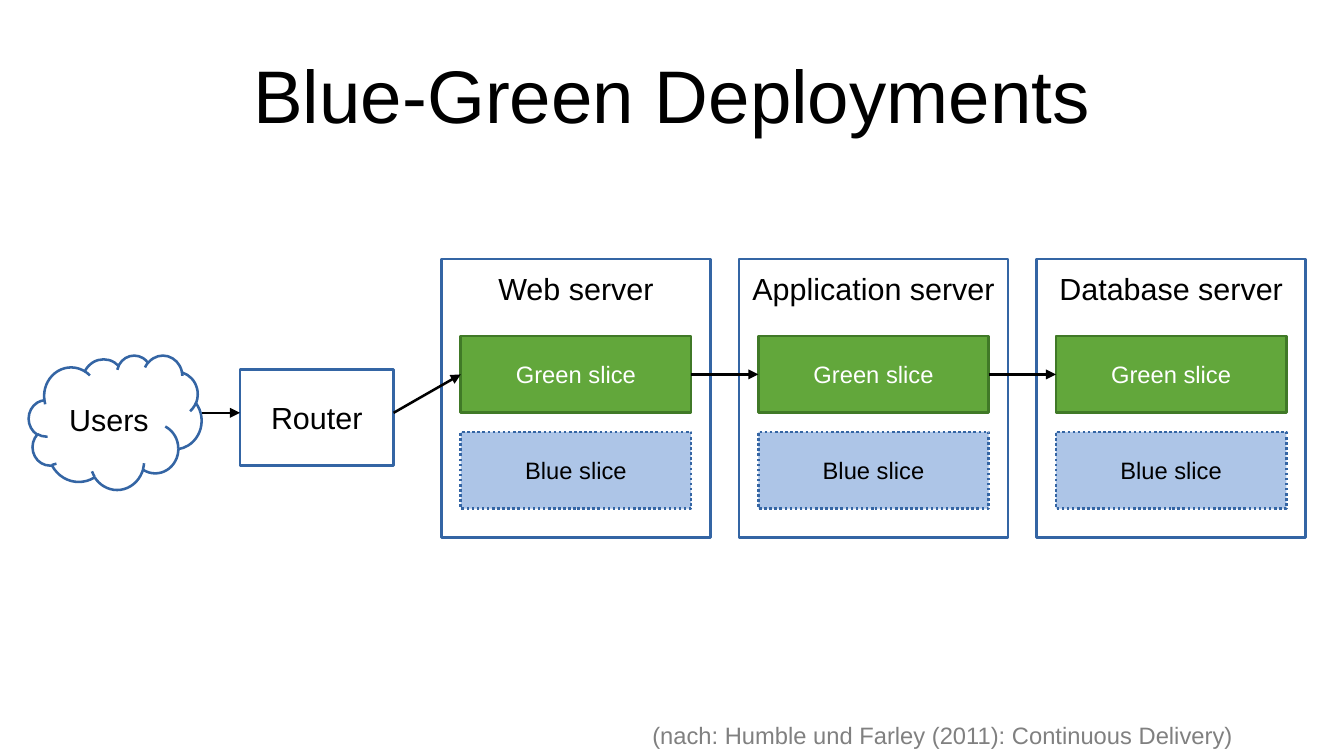
from dataclasses import dataclass
from typing import Optional

from lxml import etree
from pptx import Presentation
from pptx.dml.color import RGBColor
from pptx.enum.dml import MSO_LINE
from pptx.enum.shapes import MSO_CONNECTOR, MSO_SHAPE
from pptx.enum.text import MSO_ANCHOR, PP_ALIGN
from pptx.oxml.ns import qn
from pptx.shapes.autoshape import Shape
from pptx.shapes.connector import Connector
from pptx.slide import Slide
from pptx.text.text import TextFrame
from pptx.util import Cm, Inches, Length, Pt

RECT, CLOUD = MSO_SHAPE.RECTANGLE, MSO_SHAPE.CLOUD
STRAIGHT = MSO_CONNECTOR.STRAIGHT
TOP, MIDDLE = MSO_ANCHOR.TOP, MSO_ANCHOR.MIDDLE
LEFT, CENTER = PP_ALIGN.LEFT, PP_ALIGN.CENTER
DOTTED = MSO_LINE.ROUND_DOT
LEFT_SIDE, RIGHT_SIDE = 1, 3

BLACK = RGBColor(0x00, 0x00, 0x00)
WHITE = RGBColor(0xFF, 0xFF, 0xFF)
GRAY = RGBColor(0x80, 0x80, 0x80)
BLUE = RGBColor(0x34, 0x65, 0xA4)
LIGHT_BLUE = RGBColor(0xAD, 0xC5, 0xE7)
GREEN = RGBColor(0x62, 0xA7, 0x3B)
DARK_GREEN = RGBColor(0x40, 0x79, 0x27)

FONT = "Arial"
LINE_WIDTH = Pt(1.5)
CELL_CM = 0.4
SLIDE_COLS, SLIDE_ROWS = 70, 39.375
SERVER_COL, SERVER_ROW, SERVER_PITCH = 23, 13.5, 15.5
ARROW_ROW = 21.5
SERVERS = ("Web server", "Application server", "Database server")


@dataclass(frozen=True)
class Area:
    col: float
    row: float
    cols: float
    rows: float

    def lengths(self) -> tuple[Length, ...]:
        return tuple(map(grid, (self.col, self.row, self.cols, self.rows)))


@dataclass(frozen=True)
class Look:
    fill: RGBColor = WHITE
    line: RGBColor = BLUE
    color: RGBColor = BLACK
    size: int = 18
    anchor: MSO_ANCHOR = MIDDLE
    dash: Optional[MSO_LINE] = None


PLAIN = Look()
SERVER = Look(anchor=TOP)
GREEN_SLICE = Look(GREEN, DARK_GREEN, WHITE, 14)
BLUE_SLICE = Look(LIGHT_BLUE, size=14, dash=DOTTED)


def grid(cells: float) -> Length:
    return Cm(cells * CELL_CM)


def write(tf: TextFrame, text: str, size: int, color: RGBColor,
          align: PP_ALIGN, anchor: MSO_ANCHOR, wrap: bool) -> None:
    tf.text = text
    tf.word_wrap = wrap
    tf.vertical_anchor = anchor
    p = tf.paragraphs[0]
    p.alignment = align
    font = p.runs[0].font
    font.name, font.size = FONT, Pt(size)
    font.color.rgb = color


def add_label(s: Slide, area: Area, text: str, size: int, color: RGBColor,
              align: PP_ALIGN, anchor: MSO_ANCHOR) -> None:
    tf = s.shapes.add_textbox(*area.lengths()).text_frame
    write(tf, text, size, color, align, anchor, True)


def add_node(s: Slide, area: Area, text: str, look: Look,
             kind: MSO_SHAPE = RECT) -> Shape:
    sp = s.shapes.add_shape(kind, *area.lengths())
    sp.shadow.inherit = False
    sp.fill.solid()
    sp.fill.fore_color.rgb = look.fill
    sp.line.color.rgb = look.line
    sp.line.width = LINE_WIDTH
    if look.dash is not None:
        sp.line.dash_style = look.dash
    tf = sp.text_frame
    tf.margin_left = tf.margin_right = Inches(0.11)
    tf.margin_top = tf.margin_bottom = Inches(0.09 if look.anchor == TOP else 0.06)
    write(tf, text, look.size, look.color, CENTER, look.anchor, False)
    return sp


def add_arrow(s: Slide, start: tuple[float, float],
              end: tuple[float, float]) -> Connector:
    arrow = s.shapes.add_connector(STRAIGHT, *map(grid, start + end))
    arrow.line.color.rgb = BLACK
    arrow.line.width = LINE_WIDTH
    etree.SubElement(arrow.line._get_or_add_ln(), qn("a:tailEnd"), type="triangle")
    etree.SubElement(arrow._element.spPr, qn("a:effectLst"))
    return arrow


def add_server(s: Slide, index: int, name: str) -> Shape:
    col = SERVER_COL + index * SERVER_PITCH
    add_node(s, Area(col, SERVER_ROW, 14, 14.5), name, SERVER)
    green = add_node(s, Area(col + 1, SERVER_ROW + 4, 12, 4), "Green slice", GREEN_SLICE)
    add_node(s, Area(col + 1, SERVER_ROW + 9, 12, 4), "Blue slice", BLUE_SLICE)
    return green


def main() -> None:
    prs = Presentation()
    prs.slide_width, prs.slide_height = grid(SLIDE_COLS), grid(SLIDE_ROWS)
    s = prs.slides.add_slide(prs.slide_layouts[6])

    add_label(s, Area(3.5, 1.6, 63, 6.6), "Blue-Green Deployments",
              44, BLACK, CENTER, MIDDLE)
    slices = [add_server(s, i, name) for i, name in enumerate(SERVERS)]
    add_node(s, Area(12.5, 19.25, 8, 5), "Router", PLAIN)
    add_node(s, Area(1.5, 18.5, 9, 7), "Users", PLAIN, CLOUD)

    add_arrow(s, (10.5, ARROW_ROW), (12.5, ARROW_ROW))
    entry = (SERVER_COL + 1, SERVER_ROW + 6)
    add_arrow(s, (20.5, ARROW_ROW), entry).end_connect(slices[0], LEFT_SIDE)
    for source, target in zip(slices, slices[1:]):
        arrow = add_arrow(s, entry, entry)
        arrow.begin_connect(source, RIGHT_SIDE)
        arrow.end_connect(target, LEFT_SIDE)

    add_label(s, Area(33.35, 37.25, 33.5, 2),
              "(nach: Humble und Farley (2011): Continuous Delivery)",
              14, GRAY, LEFT, TOP)
    prs.save("out.pptx")


if __name__ == "__main__":
    main()
